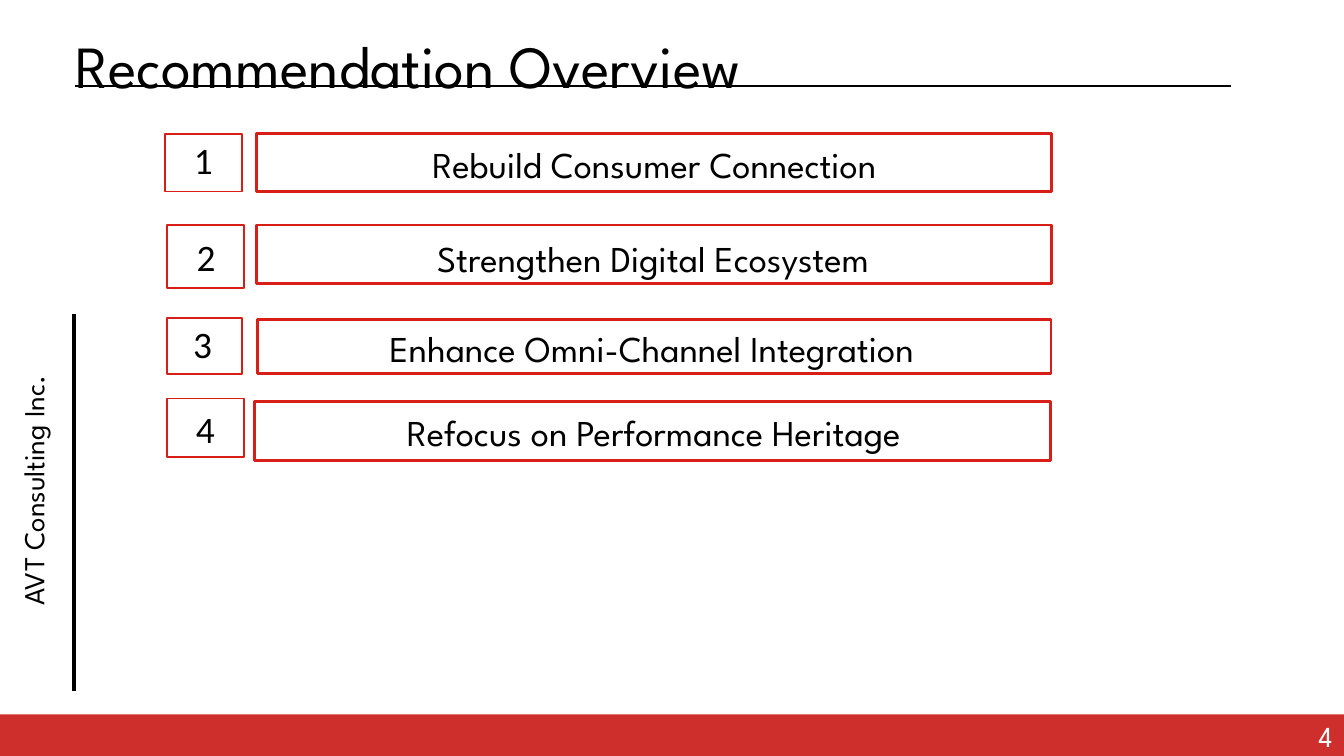
from pptx import Presentation
from pptx import util as u
from pptx.dml.color import RGBColor
from pptx.enum import shapes, text
from pptx.oxml.ns import qn
from lxml import etree

COLORS = {"ink": "000000", "bar": "CE2F2C", "frame": "D71E17", "white": "FFFFFF"}
HEADING_FONT, NUMBER_FONT = "League Spartan", "Calibri"

deck = Presentation()
deck.slide_width, deck.slide_height = u.Inches(20), u.Inches(11.25)
page = deck.slides.add_slide(deck.slide_layouts[5])


def write(box, words, size, font=HEADING_FONT, color="ink",
          align=text.PP_ALIGN.CENTER, spacing=None):
    """Fill a box; exact line spacing goes with zero margins."""
    frame = box.text_frame
    frame.text = words
    frame.word_wrap = True
    frame.auto_size = text.MSO_AUTO_SIZE.NONE
    frame.vertical_anchor = text.MSO_ANCHOR.TOP
    para = frame.paragraphs[0]
    para.alignment = align
    if spacing:
        para.line_spacing = u.Pt(spacing)
        frame.margin_left = frame.margin_right = 0
        frame.margin_top = frame.margin_bottom = 0
    span = para.runs[0]
    span.font.size = u.Pt(size)
    span.font.name = font
    span.font.color.rgb = RGBColor.from_string(COLORS[color])


def add_rectangle(left, top, width, height, fill=None, line=None, weight=0):
    box = page.shapes.add_shape(
        shapes.MSO_SHAPE.RECTANGLE,
        *map(u.Inches, (left, top, width, height)))
    box.shadow.inherit = False
    if fill:
        box.fill.solid()
        box.fill.fore_color.rgb = RGBColor.from_string(COLORS[fill])
    else:
        box.fill.background()
    if line:
        box.line.color.rgb = RGBColor.from_string(COLORS[line])
        box.line.width = u.Pt(weight)
    else:
        box.line.fill.background()


# Title
title = page.shapes.title
title.left, title.top = u.Inches(1.12), u.Inches(0.18)
title.width, title.height = u.Inches(17.22), u.Inches(1.21)
write(title, "Recommendation Overview", 64, align=text.PP_ALIGN.LEFT, spacing=95.2)

# Footer bar and page number
add_rectangle(-0.03, 10.63, 20.05, 0.67, fill="bar")
number = page.shapes.add_textbox(*map(u.Inches, (19.59, 10.61, 0.27, 0.56)))
write(number, "4", 31, color="white", spacing=43.4)

# Title rule and side rule
for x1, y1, x2, y2, weight in [(1.12, 1.28, 18.32, 1.28, 3),
                               (1.1, 4.67, 1.1, 10.29, 4)]:
    rule = page.shapes.add_connector(
        shapes.MSO_CONNECTOR.STRAIGHT, *map(u.Inches, (x1, y1, x2, y2)))
    rule.line.color.rgb = RGBColor.from_string(COLORS["ink"])
    rule.line.width = u.Pt(weight)
    etree.SubElement(rule._element.spPr, qn("a:effectLst"))

# Recommendations: wording, then left, top, width, height of
# the wide frame, its label, the number frame and the number
recommendations = [
    ("Rebuild Consumer Connection", (3.82, 1.99, 11.83, 0.86),
     (5.41, 2.07, 8.66, 0.76), (2.46, 1.99, 1.14, 0.86), (2.47, 1.99, 1.11, 0.77)),
    ("Strengthen Digital Ecosystem", (3.82, 3.35, 11.83, 0.87),
     (5.39, 3.47, 8.66, 0.76), (2.49, 3.35, 1.14, 0.94), (2.51, 3.43, 1.11, 0.77)),
    ("Enhance Omni-Channel Integration", (3.83, 4.75, 11.81, 0.81),
     (4.76, 4.81, 9.88, 0.76), (2.49, 4.73, 1.11, 0.84), (2.46, 4.73, 1.11, 0.77)),
    ("Refocus on Performance Heritage", (3.79, 5.98, 11.84, 0.87),
     (4.79, 6.05, 9.88, 0.76), (2.49, 5.93, 1.14, 0.87), (2.5, 6, 1.11, 0.77)),
]
for rank, (words, wide, label_at, small, rank_at) in enumerate(recommendations, 1):
    add_rectangle(*wide, line="frame", weight=3)
    label = page.shapes.add_textbox(*map(u.Inches, label_at))
    write(label, words, 39)
    add_rectangle(*small, line="frame", weight=2)
    rank_box = page.shapes.add_textbox(*map(u.Inches, rank_at))
    write(rank_box, str(rank), 40, font=NUMBER_FONT)

# Vertical firm name
firm = page.shapes.add_textbox(*map(u.Inches, (-1.66, 6.93, 4.35, 0.74)))
firm.rotation = 270
write(firm, "AVT Consulting Inc.", 31, spacing=43.4)

deck.save("out.pptx")
